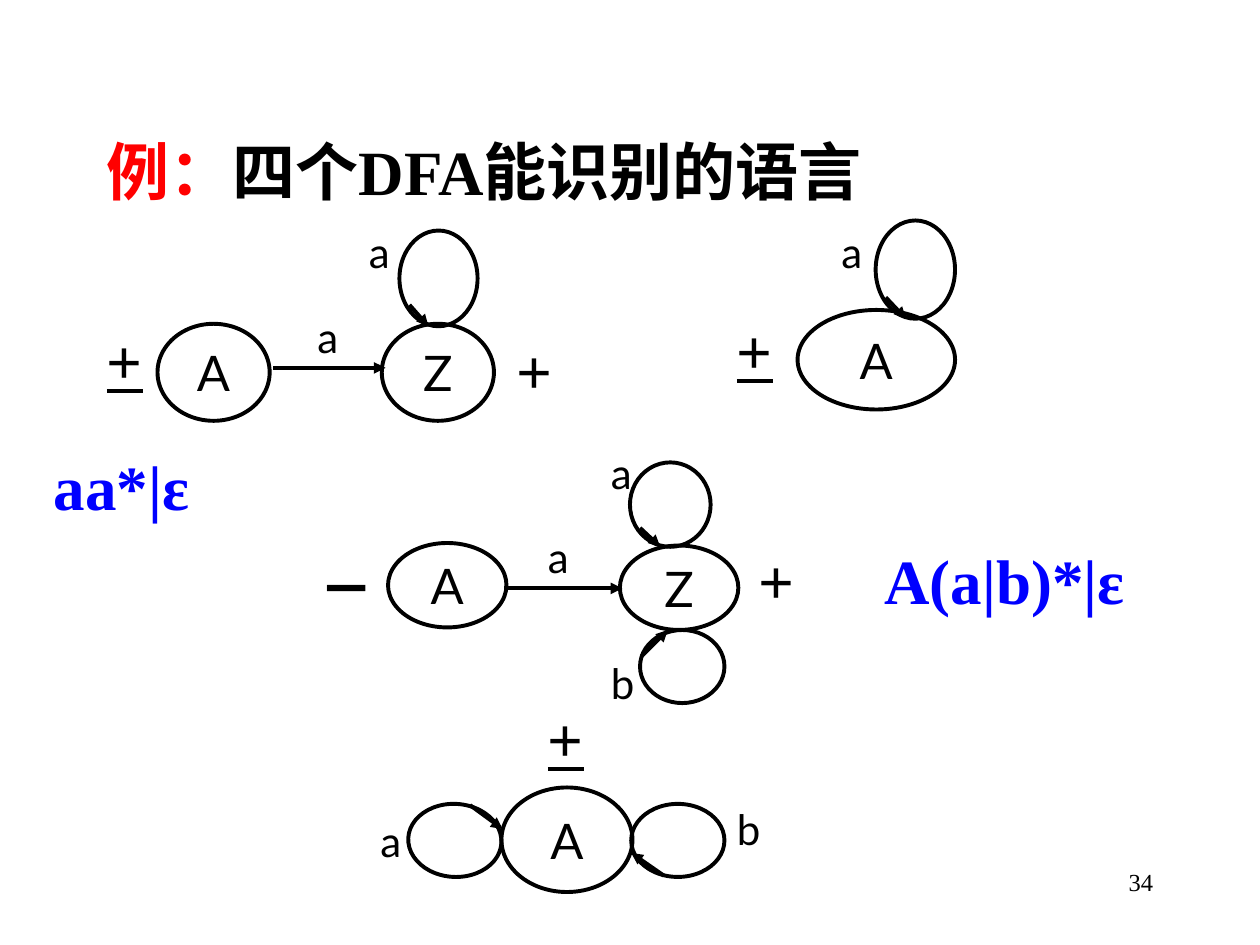
"""Build a slide with four finite automata and the languages they accept."""
from lxml import etree
from pptx import Presentation
from pptx.dml.color import RGBColor
from pptx.enum.shapes import MSO_CONNECTOR, MSO_SHAPE
from pptx.enum.text import MSO_ANCHOR, PP_ALIGN
from pptx.oxml.ns import qn
from pptx.util import Inches, Pt

LEFT, CENTER, RIGHT = PP_ALIGN.LEFT, PP_ALIGN.CENTER, PP_ALIGN.RIGHT
JUSTIFY = PP_ALIGN.JUSTIFY
MIDDLE = MSO_ANCHOR.MIDDLE
OVAL = MSO_SHAPE.OVAL
STRAIGHT = MSO_CONNECTOR.STRAIGHT


def rgb(code):
    return RGBColor.from_string(code)


class Diagram:
    black, red, blue = "000000", "FF0000", "0000FF"
    serif, sans, cjk, mono = "Times New Roman", "Lato", "Noto Sans CJK SC", "Courier New"
    width = 2.25

    def __init__(self, s):
        self.s = s

    def font(self, font, size, name, color, bold=False):
        font.size, font.name, font.bold = Pt(size), name, bold
        font.color.rgb = rgb(color)

    def text(self, x, y, w, h, text, size, name, color=black, bold=False,
             align=LEFT, before=0):
        tf = self.s.shapes.add_textbox(Inches(x), Inches(y), Inches(w), Inches(h)).text_frame
        tf.word_wrap = True
        p = tf.paragraphs[0]
        p.text, p.alignment, p.space_before = text, align, Pt(before)
        self.font(p.font, size, name, color, bold)
        return p

    def title(self, x, y, w, h, runs):
        p = self.text(x, y, w, h, "", 36, self.serif, bold=True, align=JUSTIFY, before=9)
        for text, name, color in runs:
            r = p.add_run()
            r.text = text
            self.font(r.font, 36, name, color, True)
            etree.SubElement(r.font._element, qn("a:ea"), typeface=self.cjk)

    def label(self, x, y, text, w=0.42):
        self.text(x, y, w, 0.5, text, 24, self.sans)

    def sign(self, x, y, text="+", underline=False, name=serif):
        p = self.text(x, y, 0.58, 0.7, text, 36, name, bold=True)
        p.font.underline = underline

    def language(self, x, y, w, text):
        self.text(x, y, w, 0.7, text, 36, self.serif, self.blue, True, before=22.5)

    def ellipse(self, x, y, w, h, text="", rotation=0):
        sp = self.s.shapes.add_shape(OVAL, Inches(x), Inches(y), Inches(w), Inches(h))
        sp.shadow.inherit = False
        sp.fill.background()
        sp.line.color.rgb, sp.line.width = rgb(self.black), Pt(self.width)
        sp.rotation = rotation
        if text:
            tf = sp.text_frame
            tf.word_wrap, tf.vertical_anchor = False, MIDDLE
            p = tf.paragraphs[0]
            p.text, p.alignment = text, CENTER
            self.font(p.font, 28, self.sans, self.black)

    def arrow(self, x1, y1, x2, y2):
        c = self.s.shapes.add_connector(STRAIGHT, Inches(x1), Inches(y1), Inches(x2), Inches(y2))
        c.line.color.rgb, c.line.width = rgb(self.black), Pt(self.width)
        etree.SubElement(c.line._get_or_add_ln(), qn("a:tailEnd"), type="triangle")
        etree.SubElement(c._element.spPr, qn("a:effectLst"))

    def loop(self, box, arrow, rotation=0):
        self.ellipse(*box, rotation=rotation)
        self.arrow(*arrow)


def main():
    prs = Presentation()
    prs.slide_width, prs.slide_height = Inches(10), Inches(7.5)
    d = Diagram(prs.slides.add_slide(prs.slide_layouts[6]))

    d.text(7.17, 6.83, 2.08, 0.5, "34", 14, d.serif, align=RIGHT)
    d.title(0.75, 1, 8.83, 5.67, [("例：", d.serif, d.red), ("四个", d.cjk, d.black),
                                  ("DFA能识别的语言", d.serif, d.black)])

    d.sign(0.75, 2.5, underline=True)
    d.ellipse(1.25, 2.57, 0.89, 0.77, "A")
    d.ellipse(3.03, 2.57, 0.89, 0.77, "Z")
    d.arrow(2.17, 2.92, 3.06, 2.92)
    d.loop((3.17, 1.83, 0.62, 0.76), (3.25, 2.42, 3.4, 2.59))
    d.label(2.42, 2.42, "a", w=0.38)
    d.label(2.83, 1.75, "a")
    d.sign(4, 2.58)
    d.language(0.33, 3.5, 1.58, "aa*|ε")

    d.sign(5.75, 2.42, underline=True)
    d.ellipse(6.33, 2.46, 1.25, 0.79, "A")
    d.loop((6.95, 1.75, 0.63, 0.78), (7.03, 2.36, 7.19, 2.53))
    d.label(6.58, 1.75, "a")

    d.sign(2.5, 4.25, "—", name=d.mono)
    d.ellipse(3.08, 4.31, 0.94, 0.67, "A")
    d.ellipse(4.92, 4.33, 0.94, 0.67, "Z")
    d.arrow(4, 4.67, 4.94, 4.67)
    d.loop((5, 3.67, 0.64, 0.67), (5.08, 4.19, 5.24, 4.34))
    d.loop((5.08, 5, 0.67, 0.58), (5.09, 5.21, 5.3, 5))
    d.label(4.25, 4.17, "a")
    d.label(4.75, 3.5, "a")
    d.label(4.75, 5.17, "b")
    d.sign(5.92, 4.25)
    d.language(6.92, 4.25, 2.5, "A(a|b)*|ε")

    d.sign(4.25, 5.5, underline=True)
    d.ellipse(3.98, 6.25, 1.04, 0.83, "A")
    d.loop((5.09, 6.3, 0.58, 0.74), (5.27, 6.95, 5.01, 6.77), rotation=270)
    d.loop((3.32, 6.3, 0.58, 0.74), (3.73, 6.39, 3.99, 6.58), rotation=93)
    d.label(2.92, 6.42, "a")
    d.label(5.75, 6.33, "b")

    prs.save("out.pptx")


if __name__ == "__main__":
    main()
